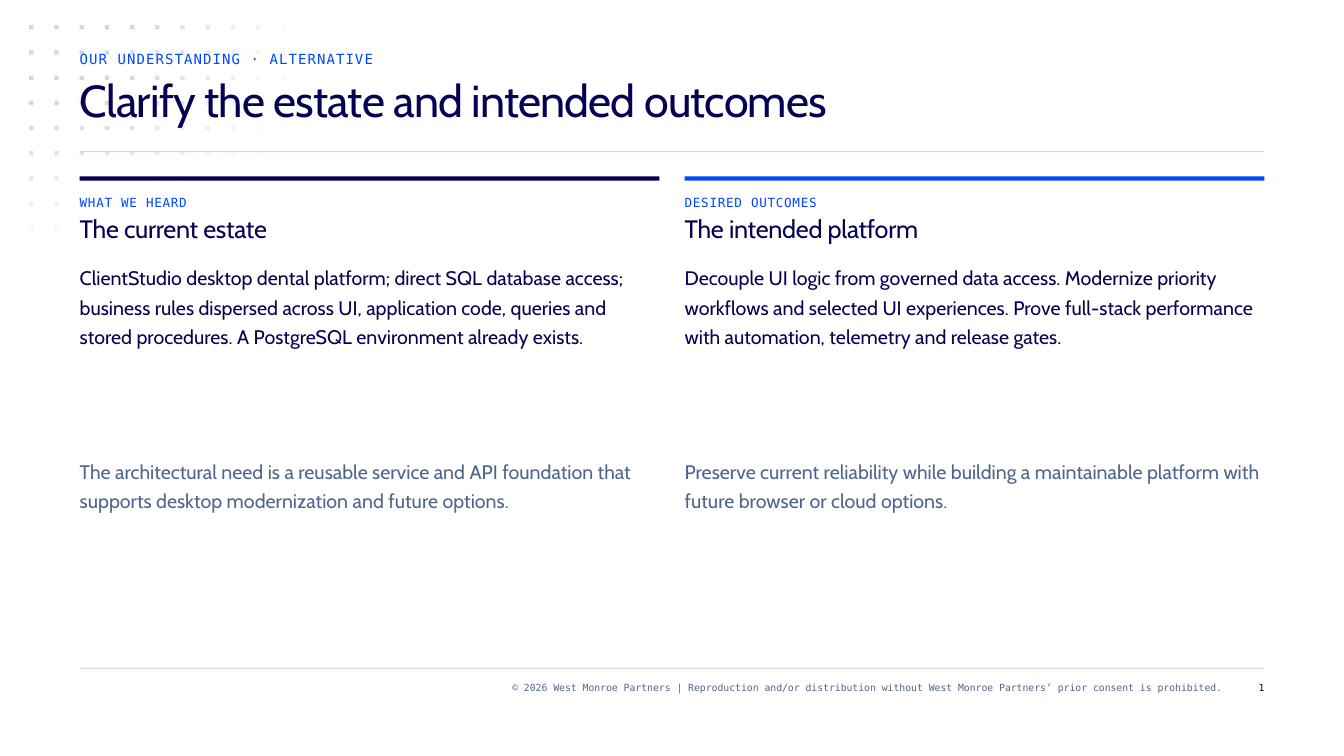
import math
from dataclasses import dataclass

from lxml import etree
from pptx import Presentation, util as u
from pptx.dml.color import RGBColor
from pptx.enum import shapes, text
from pptx.oxml.ns import qn


@dataclass(frozen=True)
class Type:
    font: str
    size: float
    leading: float
    tracking: float = 0


@dataclass(frozen=True)
class Theme:
    navy: str = "070154"
    blue: str = "0047FF"
    slate: str = "50658E"
    mist: str = "CED7E6"
    eyebrow: Type = Type("DejaVu Sans Mono", 10, 12, 0.8)
    title: Type = Type("Cabin", 32, 36, -0.6)
    label: Type = Type("DejaVu Sans Mono", 9, 12, 0.5)
    heading: Type = Type("Cabin", 18, 24, -0.2)
    body: Type = Type("Cabin", 14, 21)
    footer: Type = Type("DejaVu Sans Mono", 7, 9)


class Page:
    """A slide on a grid of quarter-inch columns and rows."""

    STEP = 0.25
    LEFT = 0.29

    def __init__(self, slide, theme):
        self.slide = slide
        self.theme = theme

    def place(self, col, row, cols, rows):
        return (u.Inches(self.LEFT + col * self.STEP), u.Inches(row * self.STEP),
                u.Inches(cols * self.STEP), u.Inches(rows * self.STEP))

    def bar(self, col, row, cols, rows, color, opacity=100):
        bar = self.slide.shapes.add_shape(
            shapes.MSO_SHAPE.RECTANGLE, *self.place(col, row, cols, rows))
        bar.shadow.inherit = False
        bar.line.fill.background()
        bar.fill.solid()
        bar.fill.fore_color.rgb = RGBColor.from_string(color)
        if opacity < 100:
            tint = bar.element.spPr.find(qn("a:solidFill"))[0]
            etree.SubElement(tint, qn("a:alpha"), val=str(round(opacity) * 1000))

    def words(self, wording, col, row, cols, rows, style, color,
              align=text.PP_ALIGN.LEFT):
        frame = self.slide.shapes.add_textbox(
            *self.place(col, row, cols, rows)).text_frame
        frame.word_wrap = True
        frame.margin_left = frame.margin_right = 0
        frame.margin_top = frame.margin_bottom = 0
        paragraph = frame.paragraphs[0]
        paragraph.alignment = align
        paragraph.line_spacing = u.Pt(style.leading)
        paragraph.font.name = style.font
        paragraph.font.size = u.Pt(style.size)
        paragraph.font.color.rgb = RGBColor.from_string(color)
        run = paragraph.add_run()
        run.text = wording
        if style.tracking:
            run._r.get_or_add_rPr().set("spc", str(round(style.tracking * 100)))

    def dot_field(self):
        """Dots that fade with elliptical distance from the top left."""
        for col in range(11):
            for row in range(9):
                opacity = 152.5 - math.hypot(13.85 * col, 16.75 * row)
                if opacity >= 2:
                    self.bar(col, row + 1, 0.17, 0.17, self.theme.mist, opacity)

    def panel(self, col, accent, label, heading, finding, need):
        t, width = self.theme, 23
        self.bar(col, 7, width, 0.17, accent)
        self.words(label, col, 7.67, width, 0.67, t.label, t.blue)
        self.words(heading, col, 8.33, width, 1.33, t.heading, t.navy)
        self.words(finding, col, 10.33, width, 3.5, t.body, t.navy)
        self.words(need, col, 18, width, 2.33, t.body, t.slate)


def main():
    deck = Presentation()
    deck.slide_width, deck.slide_height = u.Inches(13.33), u.Inches(7.5)
    theme = Theme()
    page = Page(deck.slides.add_slide(deck.slide_layouts[6]), theme)
    margin, full = 2, 47

    # Background dots and rules
    page.dot_field()
    for rule_row in (6, 26.5):
        page.bar(margin, rule_row, full, 0.04, theme.mist)

    # Header
    page.words("OUR UNDERSTANDING · ALTERNATIVE", margin, 2, full, 0.67,
               theme.eyebrow, theme.blue)
    page.words("Clarify the estate and intended outcomes", margin, 3, full, 3,
               theme.title, theme.navy)

    # Estate and outcomes side by side
    page.panel(
        margin, theme.navy, "WHAT WE HEARD", "The current estate",
        "ClientStudio desktop dental platform; direct SQL database access; "
        "business rules dispersed across UI, application code, queries and "
        "stored procedures. A PostgreSQL environment already exists.",
        "The architectural need is a reusable service and API foundation that "
        "supports desktop modernization and future options.")
    page.panel(
        margin + 24, theme.blue, "DESIRED OUTCOMES", "The intended platform",
        "Decouple UI logic from governed data access. Modernize priority "
        "workflows and selected UI experiences. Prove full-stack performance "
        "with automation, telemetry and release gates.",
        "Preserve current reliability while building a maintainable platform "
        "with future browser or cloud options.")

    # Footer
    page.words("© 2026 West Monroe Partners | Reproduction and/or distribution "
               "without West Monroe Partners’ prior consent is prohibited.",
               8.33, 27, 39, 1, theme.footer, theme.slate, text.PP_ALIGN.RIGHT)
    page.words("1", 47.67, 27, 1.33, 1, theme.footer, theme.navy,
               text.PP_ALIGN.RIGHT)

    deck.save("out.pptx")


if __name__ == "__main__":
    main()
